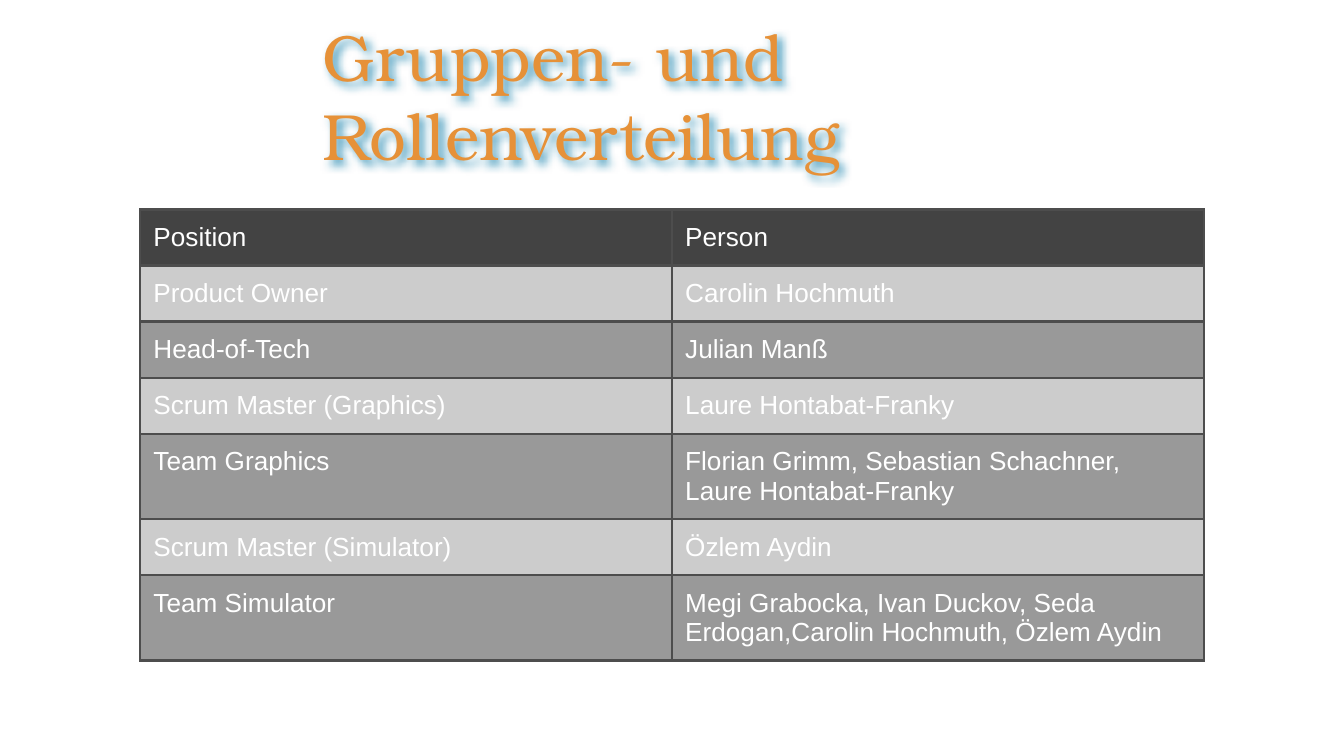
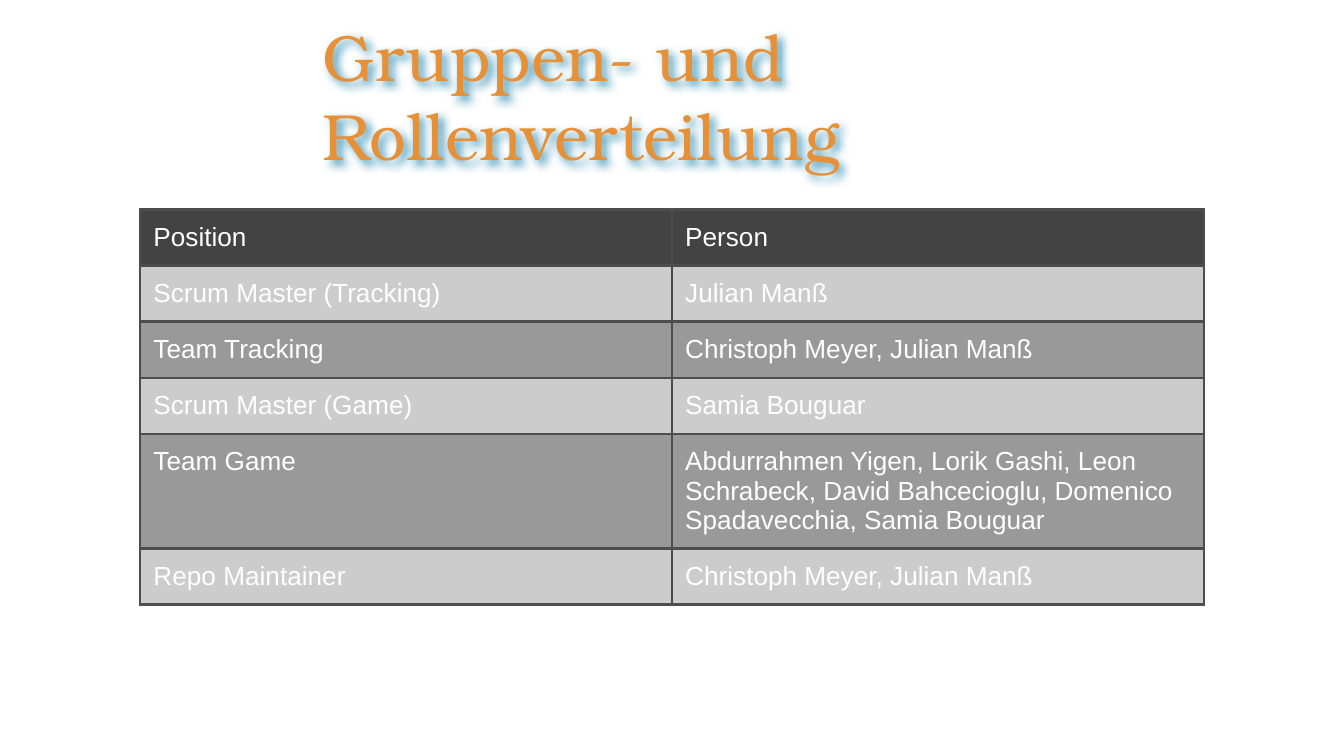
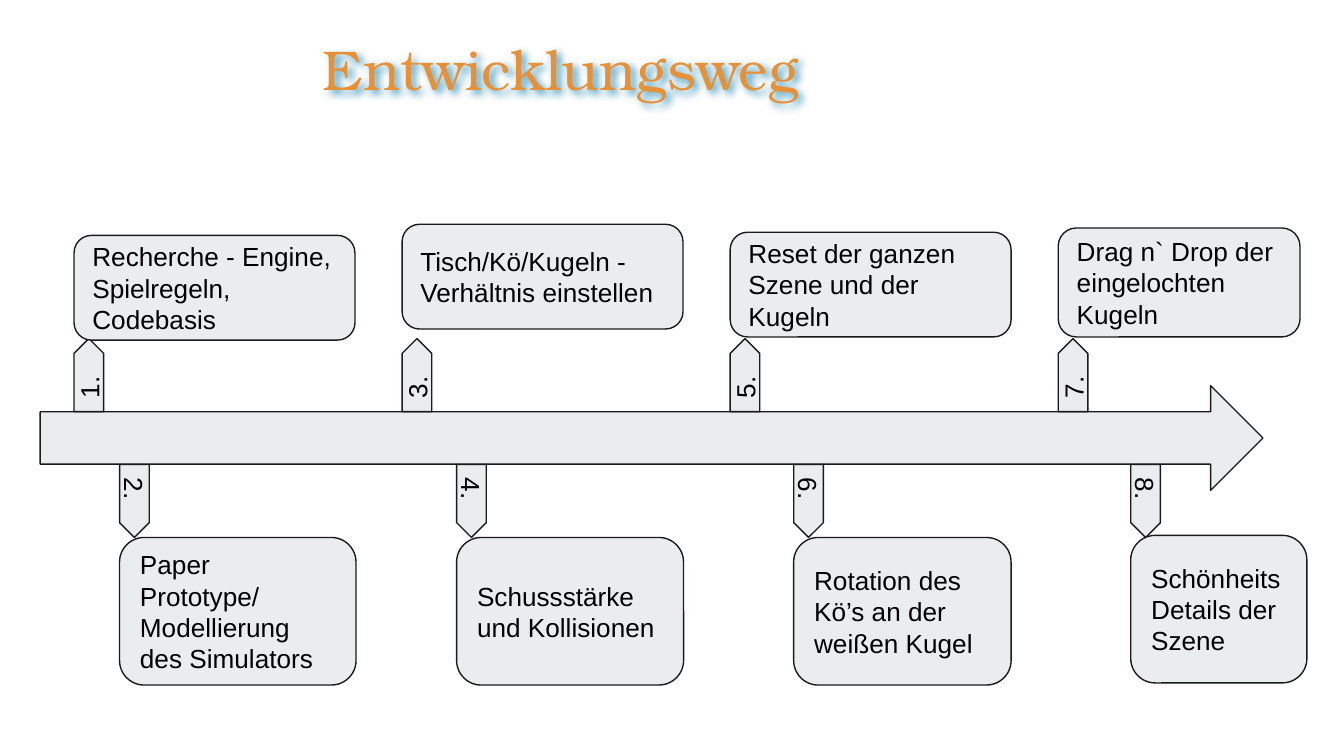
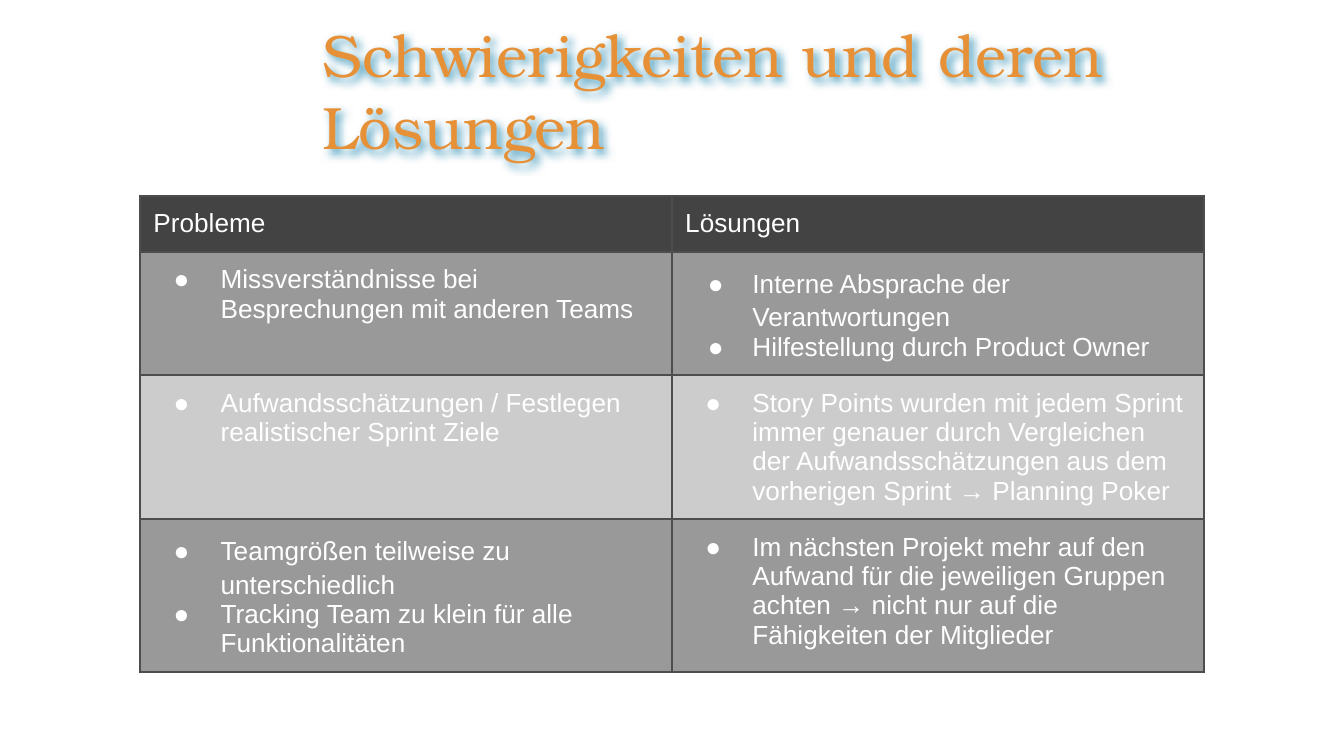
from dataclasses import dataclass

from lxml.etree import SubElement
from pptx import Presentation
from pptx.dml.color import RGBColor
from pptx.enum.shapes import MSO_SHAPE
from pptx.enum.text import MSO_ANCHOR, MSO_AUTO_SIZE, PP_ALIGN
from pptx.oxml import parse_xml
from pptx.oxml.ns import nsdecls, qn
from pptx.util import Cm, Pt


@dataclass(frozen=True)
class Theme:
    accent: str = "E69138"
    glow: str = "0B7BA8"
    head: str = "434343"
    light: str = "CCCCCC"
    mid: str = "999999"
    grid: str = "4D4D4D"
    pale: str = "E9EDEE"
    edge: str = "1A1A1A"
    dark: str = "000000"
    white: str = "FFFFFF"
    serif: str = "TeX Gyre Bonum"
    sans: str = "Arial"
    body: int = 14
    large: int = 35
    medium: int = 32
    small: int = 30
    rule: float = 1.5
    line: float = 0.75


@dataclass(frozen=True)
class Point:
    """One bullet: its text, hanging indent in cm and line spacing."""
    text: str
    hang: float = 0.89
    lead: float | None = None


def rgb(code):
    return RGBColor.from_string(code)


def style(part, face, size, color):
    """Format every run of one paragraph."""
    for run in part.runs:
        run.font.name = face
        run.font.size = Pt(size)
        run.font.color.rgb = rgb(color)


class Deck:
    def __init__(self, theme):
        self.theme = theme
        self.show = Presentation()
        self.show.slide_width = Cm(25.4)
        self.show.slide_height = Cm(14.29)
        self.slide = None

    def start(self, text, size, top=0.41, high=2.77):
        """Begin a slide with its glowing title."""
        self.slide = self.show.slides.add_slide(self.show.slide_layouts[5])
        title = self.slide.shapes.title
        title.left, title.top = Cm(5.85), Cm(top)
        title.width, title.height = Cm(18.67), Cm(high)
        frame = title.text_frame
        frame.text = text
        frame.word_wrap = True
        frame.auto_size = MSO_AUTO_SIZE.NONE
        frame.vertical_anchor = MSO_ANCHOR.MIDDLE
        part = frame.paragraphs[0]
        part.alignment = PP_ALIGN.LEFT
        style(part, self.theme.serif, size, self.theme.accent)
        title._element.spPr.append(parse_xml(
            f'<a:effectLst {nsdecls("a")}>'
            '<a:outerShdw blurRad="57150" dist="28575" dir="2700000" algn="bl" rotWithShape="0">'
            f'<a:srgbClr val="{self.theme.glow}"><a:alpha val="80000"/></a:srgbClr>'
            '</a:outerShdw></a:effectLst>'))

    def table(self, rows, fills, top=3.96):
        """Draw a two-column table; fills alternate below the header."""
        wide, high = 10.05, 1.06
        frame = self.slide.shapes.add_table(
            len(rows), 2, Cm(2.65), Cm(top), Cm(2 * wide), Cm(high * len(rows)))
        grid = frame.table
        grid.first_row = grid.horz_banding = False
        for col in grid.columns:
            col.width = Cm(wide)
        for i, row in enumerate(rows):
            grid.rows[i].height = Cm(high)
            fill = fills[(i - 1) % 2] if i else self.theme.head
            for j, item in enumerate(row):
                self.cell(grid.cell(i, j), item, fill)

    def cell(self, cell, item, fill):
        cell.margin_left = cell.margin_right = Cm(0.25)
        cell.margin_top = cell.margin_bottom = Cm(0.25)
        self.border(cell)
        cell.fill.solid()
        cell.fill.fore_color.rgb = rgb(fill)
        frame = cell.text_frame
        if isinstance(item, str):
            frame.text = item
        else:
            frame.text = "\n".join(point.text for point in item)
            for part, point in zip(frame.paragraphs, item):
                self.bullet(part, point)
        for part in frame.paragraphs:
            style(part, self.theme.sans, self.theme.body, self.theme.white)

    def border(self, cell):
        props = cell._tc.get_or_add_tcPr()
        for side in ("lnL", "lnR", "lnT", "lnB"):
            line = SubElement(props, qn(f"a:{side}"), w=str(Pt(self.theme.rule)))
            fill = SubElement(line, qn("a:solidFill"))
            SubElement(fill, qn("a:srgbClr"), val=self.theme.grid)

    def bullet(self, part, point):
        props = part._p.get_or_add_pPr()
        props.set("marL", str(Cm(1.27)))
        props.set("indent", str(-Cm(point.hang)))
        color = SubElement(props, qn("a:buClr"))
        SubElement(color, qn("a:srgbClr"), val=self.theme.white)
        SubElement(props, qn("a:buFont"), typeface=self.theme.sans)
        SubElement(props, qn("a:buChar"), char="●")
        if point.lead:
            part.line_spacing = point.lead

    def shape(self, kind, left, top, wide, high, text="", turn=0):
        item = self.slide.shapes.add_shape(kind, Cm(left), Cm(top), Cm(wide), Cm(high))
        item.rotation = turn
        item.shadow.inherit = False
        item.fill.solid()
        item.fill.fore_color.rgb = rgb(self.theme.pale)
        item.line.color.rgb = rgb(self.theme.edge)
        item.line.width = Pt(self.theme.line)
        if text:
            frame = item.text_frame
            frame.margin_left = frame.margin_right = Cm(0.25)
            frame.margin_top = frame.margin_bottom = Cm(0.25)
            frame.word_wrap = True
            frame.vertical_anchor = MSO_ANCHOR.MIDDLE
            frame.text = text
            part = frame.paragraphs[0]
            part.alignment = PP_ALIGN.LEFT
            style(part, self.theme.sans, self.theme.body, self.theme.dark)

    def steps(self, first, start, gap, mid, turn, boxes):
        """Draw one side of the timeline: numbered pins, each with its box."""
        long, thin = 1.38, 0.56
        for i, (text, top, wide, high) in enumerate(boxes):
            left = start + i * gap
            self.shape(MSO_SHAPE.PENTAGON, left + (thin - long) / 2, mid - thin / 2,
                       long, thin, f"{first + 2 * i}.", turn)
            self.shape(MSO_SHAPE.ROUNDED_RECTANGLE, left, top, wide, high, text)


HEADER = ("Position", "Person")
ROLES = "Gruppen- und Rollenverteilung"

LEADS = [
    HEADER,
    ("Product Owner", "Carolin Hochmuth"),
    ("Head-of-Tech", "Julian Manß"),
    ("Scrum Master (Graphics)", "Laure Hontabat-Franky"),
    ("Team Graphics", "Florian Grimm, Sebastian Schachner, Laure Hontabat-Franky"),
    ("Scrum Master (Simulator)", "Özlem Aydin"),
    ("Team Simulator",
     "Megi Grabocka, Ivan Duckov, Seda Erdogan,Carolin Hochmuth, Özlem Aydin"),
]

TEAMS = [
    HEADER,
    ("Scrum Master (Tracking)", "Julian Manß"),
    ("Team Tracking", "Christoph Meyer, Julian Manß"),
    ("Scrum Master (Game)", "Samia Bouguar"),
    ("Team Game",
     "Abdurrahmen Yigen, Lorik Gashi, Leon Schrabeck, David Bahcecioglu, "
     "Domenico Spadavecchia, Samia Bouguar"),
    ("Repo Maintainer", "Christoph Meyer, Julian Manß"),
]

UPPER = [
    ("Recherche - Engine, Spielregeln, Codebasis", 4.45, 5.31, 1.98),
    ("Tisch/Kö/Kugeln - Verhältnis einstellen", 4.24, 5.31, 1.98),
    ("Reset der ganzen Szene und der Kugeln", 4.39, 5.31, 1.98),
    ("Drag n` Drop der eingelochten Kugeln", 4.31, 4.57, 2.06),
]

LOWER = [
    ("Paper Prototype/ Modellierung des Simulators", 10.16, 4.47, 2.79),
    ("Schussstärke und Kollisionen", 10.16, 4.29, 2.79),
    ("Rotation des Kö’s an der weißen Kugel", 10.16, 4.11, 2.79),
    ("Schönheits Details der Szene", 10.12, 3.33, 2.79),
]

ISSUES = [
    ("Probleme", "Lösungen"),
    ([Point("Missverständnisse bei Besprechungen mit anderen Teams")],
     [Point("Interne Absprache der Verantwortungen", 0.84, 1.15),
      Point("Hilfestellung durch Product Owner", 0.84)]),
    ([Point("Aufwandsschätzungen / Festlegen realistischer Sprint Ziele")],
     [Point("Story Points wurden mit jedem Sprint immer genauer durch Vergleichen "
            "der Aufwandsschätzungen aus dem vorherigen Sprint → Planning Poker")]),
    ([Point("Teamgrößen teilweise zu unterschiedlich", lead=1.15),
      Point("Tracking Team zu klein für alle Funktionalitäten")],
     [Point("Im nächsten Projekt mehr auf den Aufwand für die jeweiligen Gruppen "
            "achten → nicht nur auf die Fähigkeiten der Mitglieder")]),
]


def main():
    theme = Theme()
    deck = Deck(theme)

    for rows in (LEADS, TEAMS):
        deck.start(ROLES, theme.large)
        deck.table(rows, (theme.light, theme.mid))

    deck.start("Entwicklungsweg", theme.small, 0.53, 1.5)
    deck.shape(MSO_SHAPE.RIGHT_ARROW, 0.76, 7.29, 23.11, 1.98)
    deck.steps(1, 1.4, 6.2, 7.09, 270, UPPER)
    deck.steps(2, 2.26, 6.37, 9.47, 90, LOWER)

    deck.start("Schwierigkeiten und deren Lösungen", theme.medium, 0.43, 2.54)
    deck.table(ISSUES, (theme.mid, theme.light), 3.7)

    deck.show.save("out.pptx")


if __name__ == "__main__":
    main()
